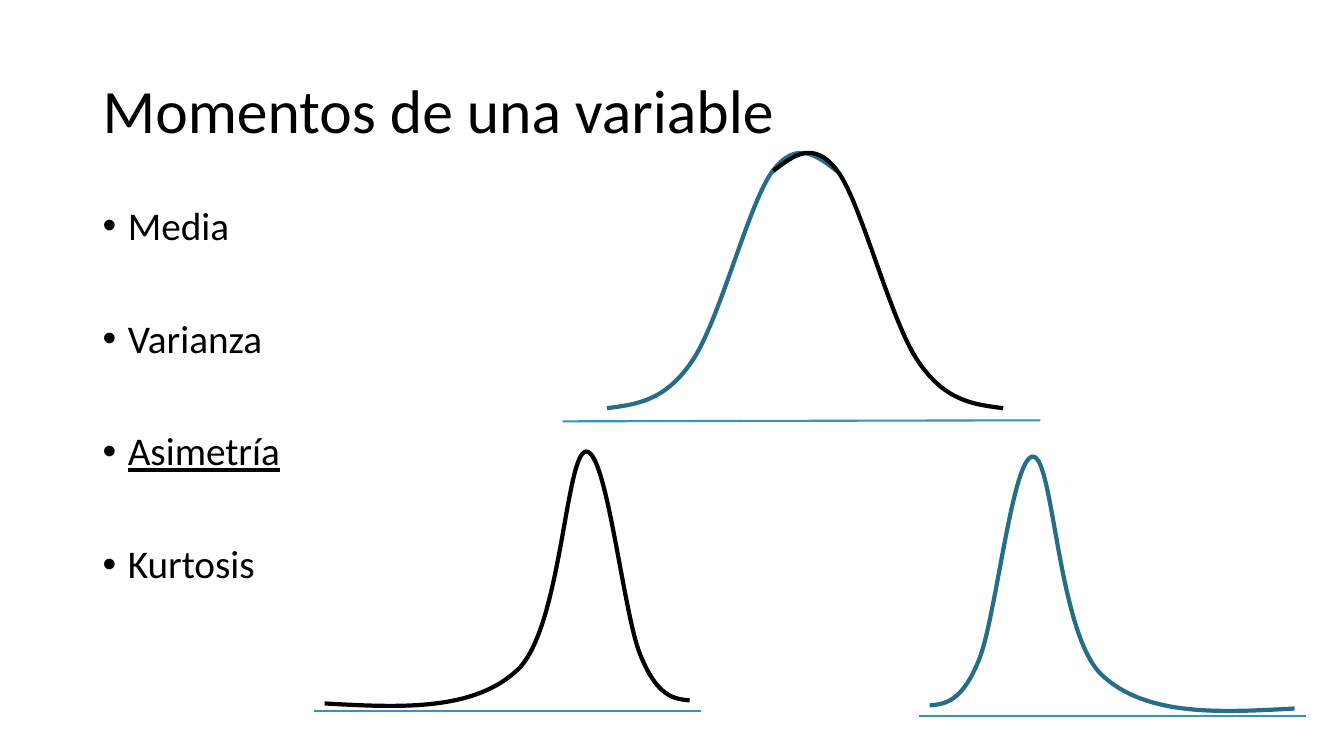
import pptx
import pptx.util
import pptx.dml.color
import pptx.enum.shapes
import pptx.enum.text
import pptx.oxml.ns
import lxml.etree

Inches, Pt = pptx.util.Inches, pptx.util.Pt
qn = pptx.oxml.ns.qn
COLORS = {"text": "000000", "curve": "266D8A", "mirrored": "000000", "axis": "3494BA"}
FONT = "Calibri"
MOMENTS = ["Media", "Varianza", "Asimetría", "Kurtosis"]
UNDERLINED = "Asimetría"

# Start point, then three points per cubic segment, in percent of the box
BELL_HALF = [(0, 100), (12.7, 98.5), (24.9, 97.4), (36.7, 82),
             (48.9, 66.5), (61.6, 19.5), (72.1, 7),
             (82.5, -5.4), (91.3, 0.9), (100, 7)]
SKEWED_BELL = [(0, 97.6), (4.5, 97), (8.9, 96), (13.5, 79.8),
               (18.2, 63.6), (22.7, -0.8), (28.4, 0),
               (34, 0.8), (35.1, 68.8), (47, 85.4),
               (59.1, 102), (79.6, 100.4), (100, 98.8)]


def rgb(name):
    return pptx.dml.color.RGBColor.from_string(COLORS[name])


def format_run(run, size):
    run.font.name = FONT
    run.font.size = Pt(size)
    run.font.color.rgb = rgb("text")


def add_text_frame(slide, box):
    frame = slide.shapes.add_textbox(*map(Inches, box)).text_frame
    frame.word_wrap = True
    return frame


def add_title(slide, box):
    frame = add_text_frame(slide, box)
    frame.vertical_anchor = pptx.enum.text.MSO_ANCHOR.MIDDLE
    frame.text = "Momentos de una variable"
    heading = frame.paragraphs[0]
    heading.line_spacing = 0.9
    format_run(heading.runs[0], 44)


def add_bullet(paragraph):
    properties = paragraph._p.get_or_add_pPr()
    properties.set("marL", str(Inches(0.25)))
    properties.set("indent", str(-Inches(0.25)))
    for tag, attribute, value in (("a:buFont", "typeface", "Arial"),
                                  ("a:buChar", "char", "•")):
        lxml.etree.SubElement(properties, qn(tag)).set(attribute, value)


def add_moments(slide, box):
    frame = add_text_frame(slide, box)
    frame.text = "\n".join(MOMENTS)
    for index, moment in enumerate(frame.paragraphs):
        add_bullet(moment)
        moment.alignment = pptx.enum.text.PP_ALIGN.JUSTIFY
        moment.line_spacing = 0.9
        if index:
            moment.space_before = Pt(50.3)
        format_run(moment.runs[0], 28)
        if moment.text == UNDERLINED:
            moment.runs[0].font.underline = True


def bend_segments(curve, points):
    """Turn every three straight segments into one cubic Bézier segment."""
    outline = curve._element.spPr.find(".//" + qn("a:path"))
    for straight in outline.findall(qn("a:lnTo")):
        outline.remove(straight)
    for index, (x, y) in enumerate(points[1:]):
        if index % 3 == 0:
            segment = lxml.etree.SubElement(outline, qn("a:cubicBezTo"))
        lxml.etree.SubElement(segment, qn("a:pt"), x=str(x), y=str(y))


def add_curve(shapes, controls, box, mirrored=False):
    left, top, width, height = map(Inches, box)
    points = [(round(width * x / 100), round(height * y / 100)) for x, y in controls]
    # Control points may lie outside the box, which fits the curve itself
    inside = [(x, min(max(y, 0), height)) for x, y in points]
    builder = shapes.build_freeform(*inside[0])
    builder.add_line_segments(inside[1:], close=False)
    curve = builder.convert_to_shape(left, top)
    bend_segments(curve, points)
    if mirrored:
        curve._element.spPr.find(qn("a:xfrm")).set("flipH", "1")
    curve.shadow.inherit = False
    curve.fill.background()
    curve.line.color.rgb = rgb("mirrored" if mirrored else "curve")
    curve.line.width = Pt(3)


def add_axis(slide, start, end):
    axis = slide.shapes.add_connector(pptx.enum.shapes.MSO_CONNECTOR.STRAIGHT,
                                      *map(Inches, start + end))
    axis.line.color.rgb = rgb("axis")
    axis.line.width = Pt(1.5)
    lxml.etree.SubElement(axis._element.spPr, qn("a:effectLst"))


def add_symmetric_plot(slide, box):
    """Bell made of two mirrored halves that overlap at the peak."""
    left, top, width, height = box
    half = 0.58 * width
    add_axis(slide, (left - 0.44, top + height + 0.13), (left + width + 0.37, top + height + 0.12))
    bell = slide.shapes.add_group_shape()
    add_curve(bell.shapes, BELL_HALF, (left, top, half, height))
    add_curve(bell.shapes, BELL_HALF, (left + width - half, top, half, height), mirrored=True)


def add_skewed_plot(slide, box, mirrored=False):
    left, top, width, height = box
    add_curve(slide.shapes, SKEWED_BELL, box, mirrored)
    baseline = top + height + 0.04
    add_axis(slide, (left - 0.11, baseline), (left + width + 0.11, baseline))


def main():
    deck = pptx.Presentation()
    deck.slide_width, deck.slide_height = Inches(13.33), Inches(7.5)
    slide = deck.slides.add_slide(deck.slide_layouts[6])
    add_title(slide, (0.92, 0.4, 11.5, 1.45))
    add_moments(slide, (0.92, 2, 11.5, 4.76))
    add_skewed_plot(slide, (9.22, 4.53, 3.62, 2.53))
    add_symmetric_plot(slide, (6.02, 1.52, 3.93, 2.53))
    add_skewed_plot(slide, (3.22, 4.48, 3.62, 2.53), mirrored=True)
    deck.save("out.pptx")


if __name__ == "__main__":
    main()
